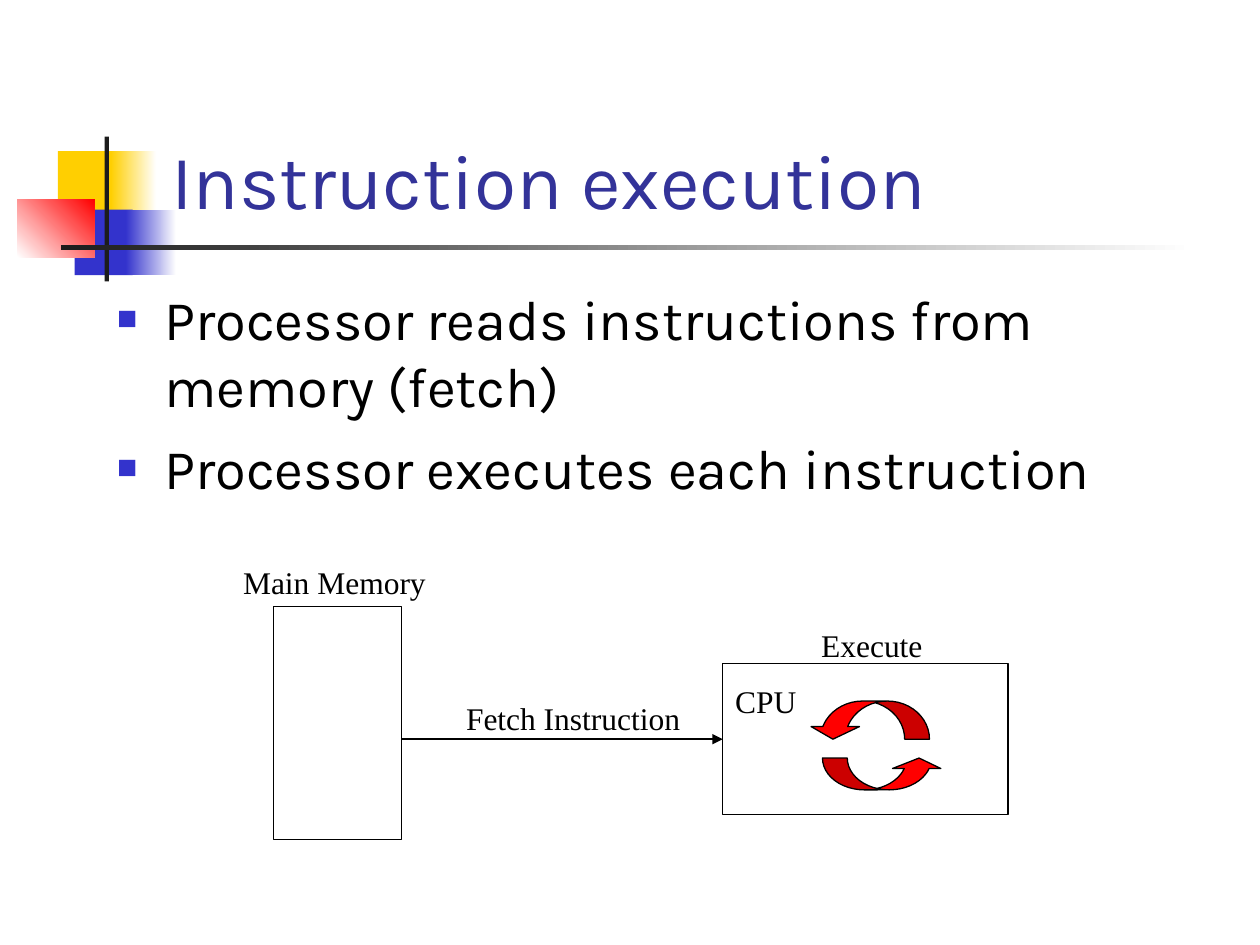
"""Build the "Instruction execution" slide with its fetch and execute diagram."""
import pptx
import pptx.dml.color
import pptx.enum.dml
import pptx.enum.shapes
import pptx.enum.text
import pptx.oxml
import pptx.oxml.ns
import pptx.util

Pt = pptx.util.Pt
RGBColor = pptx.dml.color.RGBColor
SHAPE = pptx.enum.shapes.MSO_SHAPE
ANCHOR = pptx.enum.text.MSO_ANCHOR

BLACK = RGBColor(0x00, 0x00, 0x00)
WHITE = RGBColor(0xFF, 0xFF, 0xFF)
YELLOW = RGBColor(0xFF, 0xCF, 0x01)
BLUE = RGBColor(0x33, 0x33, 0xCC)
RED = RGBColor(0xFF, 0x00, 0x00)
CHARCOAL = RGBColor(0x1C, 0x1C, 0x1C)
INDIGO = RGBColor(0x33, 0x33, 0x99)

HEADING_FONT = "Karla"
DIAGRAM_FONT = "Times New Roman"


def add_xml(parent, tag, attributes=""):
    """Append one empty drawing element to parent."""
    namespace = pptx.oxml.ns.nsdecls("a")
    parent.append(pptx.oxml.parse_xml(f"<a:{tag} {namespace} {attributes}/>"))


def style_font(paragraph, name, size, color):
    """Format every run of a paragraph."""
    for run in paragraph.runs:
        run.font.name = name
        run.font.size = Pt(size)
        run.font.color.rgb = color


def add_shape(slide, kind, box):
    """Add a preset shape without a shadow."""
    shape = slide.shapes.add_shape(kind, *map(Pt, box))
    shape.shadow.inherit = False
    return shape


def add_block(slide, box, color):
    """Add a plain decorative rectangle."""
    block = add_shape(slide, SHAPE.RECTANGLE, box)
    block.fill.solid()
    block.fill.fore_color.rgb = color
    block.line.fill.background()


def add_fade(slide, box, start, end, angle=0):
    """Add a decorative rectangle that fades from start to end."""
    fade = add_shape(slide, SHAPE.RECTANGLE, box)
    fade.fill.gradient()
    fade.fill.gradient_angle = angle
    for stop, color, position in zip(fade.fill.gradient_stops, (start, end), (0, 1)):
        stop.color.rgb = color
        stop.position = position
    fade.line.fill.background()


def add_decoration(slide):
    """Add the coloured squares and the rules beside the title."""
    add_block(slide, (33.1, 86.4, 34.6, 37.4), YELLOW)
    add_fade(slide, (63.4, 86.4, 25.9, 37.4), YELLOW, WHITE)
    add_block(slide, (42.7, 119.8, 33.1, 37.4), BLUE)
    add_fade(slide, (72, 119.8, 28.8, 37.4), BLUE, WHITE)
    add_fade(slide, (10, 113.8, 44, 33.1), WHITE, RED, 45)
    add_block(slide, (59.8, 78, 2.5, 82.8), CHARCOAL)
    add_fade(slide, (34.6, 140.2, 648, 2.5), CHARCOAL, WHITE)


def add_title(slide, text):
    """Add the slide title, resting on the bottom of its box."""
    frame = slide.shapes.add_textbox(Pt(90.7), Pt(16.6), Pt(613.4), Pt(115.2)).text_frame
    frame.word_wrap = True
    frame.vertical_anchor = ANCHOR.BOTTOM
    frame.text = text
    style_font(frame.paragraphs[0], HEADING_FONT, 44, INDIGO)


def add_bullets(slide, items):
    """Add the list with square blue bullets."""
    frame = slide.shapes.add_textbox(Pt(59.8), Pt(159.1), Pt(612), Pt(135.4)).text_frame
    frame.word_wrap = True
    frame.text = "\n".join(items)
    for index, paragraph in enumerate(frame.paragraphs):
        if index:
            paragraph.space_before = Pt(8)
        properties = paragraph._p.get_or_add_pPr()
        properties.set("marL", str(Pt(27)))
        properties.set("indent", str(Pt(-27)))
        add_xml(properties, "buClr")
        add_xml(properties[-1], "srgbClr", f'val="{BLUE}"')
        add_xml(properties, "buSzPct", 'val="60000"')
        add_xml(properties, "buFont", f'typeface="{DIAGRAM_FONT}"')
        add_xml(properties, "buChar", 'char="■"')
        style_font(paragraph, HEADING_FONT, 32, BLACK)


def add_unit(slide, box, name=""):
    """Add an outlined hardware unit, with its name at the upper left."""
    unit = add_shape(slide, SHAPE.RECTANGLE, box)
    unit.fill.background()
    unit.line.color.rgb = BLACK
    unit.line.width = Pt(0.75)
    if name:
        frame = unit.text_frame
        frame.vertical_anchor = ANCHOR.TOP
        frame.margin_top = Pt(10.8)
        frame.text = name
        frame.paragraphs[0].alignment = pptx.enum.text.PP_ALIGN.LEFT
        style_font(frame.paragraphs[0], DIAGRAM_FONT, 18, BLACK)
    return unit


def add_label(slide, left, top, width, text):
    """Add a one-line diagram label."""
    frame = slide.shapes.add_textbox(Pt(left), Pt(top), Pt(width), Pt(28.8)).text_frame
    frame.word_wrap = False
    frame.text = text
    style_font(frame.paragraphs[0], DIAGRAM_FONT, 18, BLACK)


def add_fetch_arrow(slide, start, end, cpu):
    """Add the arrow that ends at the left side of the CPU."""
    straight = pptx.enum.shapes.MSO_CONNECTOR.STRAIGHT
    arrow = slide.shapes.add_connector(straight, *map(Pt, start + end))
    arrow.end_connect(cpu, 1)
    arrow.line.color.rgb = BLACK
    arrow.line.width = Pt(1.5)
    add_xml(arrow.line._get_or_add_ln(), "tailEnd", 'type="triangle"')
    add_xml(arrow._element.spPr, "effectLst")


def add_cycle_arrow(slide, kind, box, band, head, flipped=False):
    """Add a curved red arrow with the given band and head widths."""
    arrow = add_shape(slide, kind, box)
    height = box[3]
    arrow.adjustments[0] = band / height
    arrow.adjustments[1] = head / height
    arrow.adjustments[2] = 0.33
    arrow.fill.solid()
    arrow.fill.fore_color.rgb = RED
    arrow.line.color.rgb = BLACK
    arrow.line.width = Pt(0.75)
    if flipped:
        arrow._element.spPr.xfrm.set("flipH", "1")


def add_diagram(slide):
    """Add memory, CPU, and the fetch and execute arrows."""
    cpu = add_unit(slide, (413, 379.2, 163, 86.4), "CPU")
    add_unit(slide, (156.2, 346.7, 73.4, 133.2))
    add_fetch_arrow(slide, (229.6, 422.4), (413, 422.4), cpu)
    add_label(slide, 259.2, 396, 140, "Fetch Instruction")
    add_label(slide, 462.2, 354.2, 80, "Execute")
    add_label(slide, 131.8, 318.2, 126, "Main Memory")
    add_cycle_arrow(slide, SHAPE.CURVED_UP_ARROW, (470, 433.2, 69, 18.2), 14.2, 27.6)
    add_cycle_arrow(slide, SHAPE.CURVED_DOWN_ARROW, (462.2, 400.6, 69, 21.8), 14.2, 27.6, True)


def main():
    """Build and save the slide."""
    presentation = pptx.Presentation()
    presentation.slide_width = Pt(720)
    presentation.slide_height = Pt(540)
    slide = presentation.slides.add_slide(presentation.slide_layouts[6])
    add_decoration(slide)
    add_title(slide, "Instruction execution")
    add_bullets(slide, (
        "Processor reads instructions from memory (fetch)",
        "Processor executes each instruction",
    ))
    add_diagram(slide)
    presentation.save("out.pptx")


if __name__ == "__main__":
    main()
